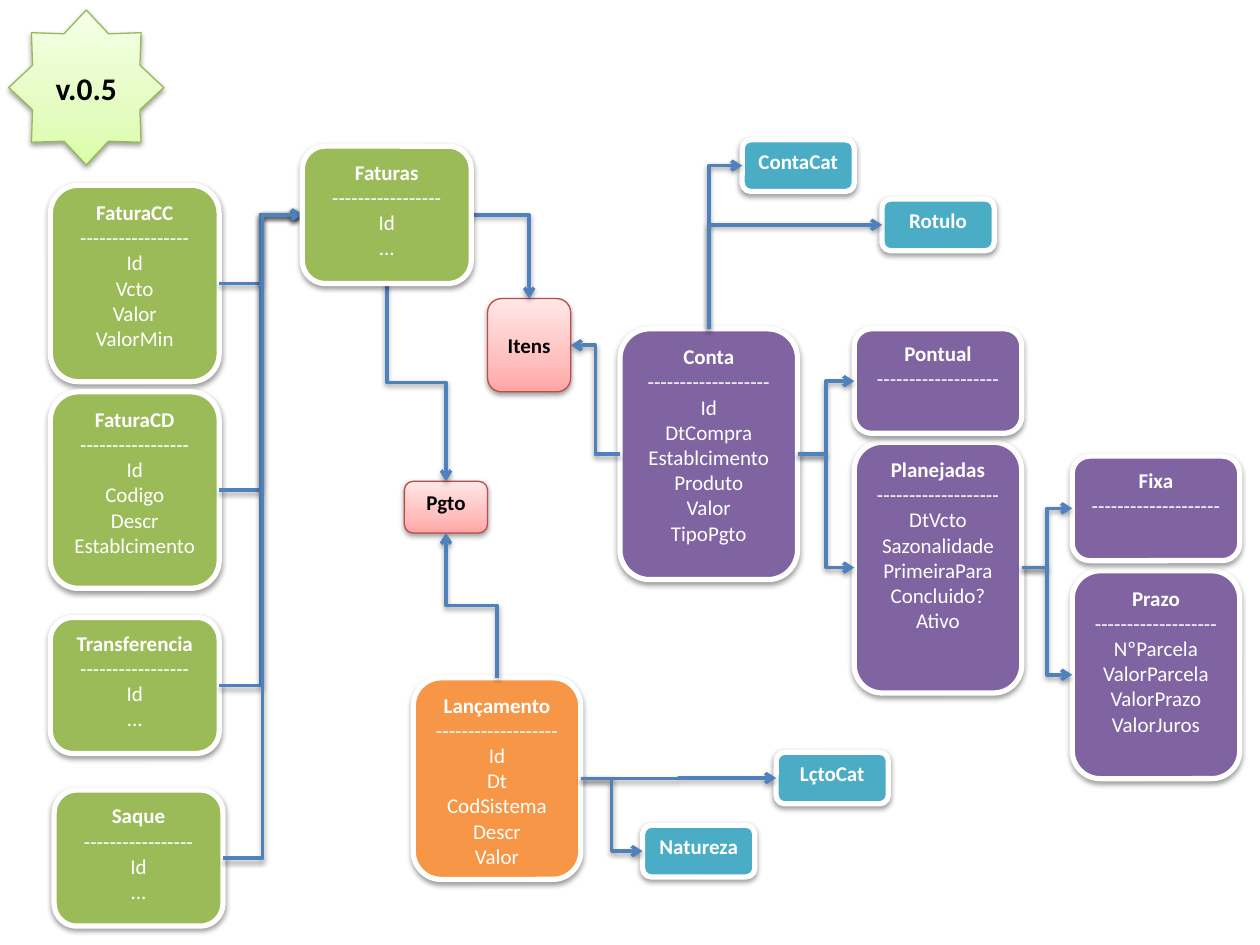
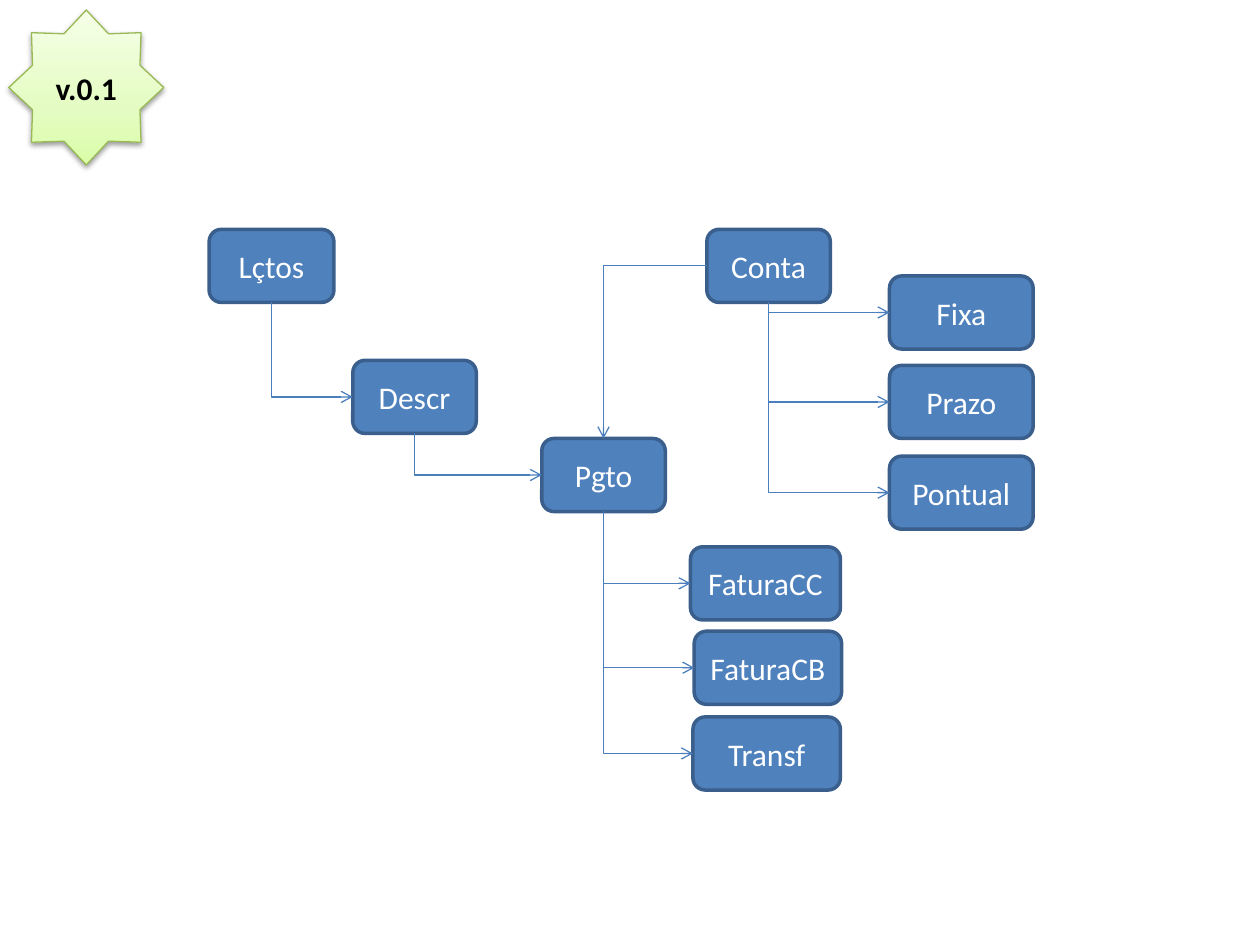
from dataclasses import dataclass

from lxml.etree import SubElement
from pptx import Presentation
from pptx.dml.color import RGBColor
from pptx.enum.shapes import MSO_CONNECTOR, MSO_SHAPE
from pptx.enum.text import MSO_ANCHOR, PP_ALIGN
from pptx.oxml.ns import qn
from pptx.util import Inches, Pt

FONT = "Calibri"
COLORS = {
    "white": "FFFFFF", "black": "000000",
    "purple": "8064A2", "green": "9BBB59", "teal": "4BACC6", "orange": "F79646",
    "blue": "4F81BD", "blue_edge": "3A5F8C", "thin_blue": "4B7EBC",
    "red_edge": "BF4C48", "green_edge": "98B955",
}
GRADIENTS = {
    "pink": [(0, "FFA6A5"), (35, "FFC0BF"), (100, "FFE7E7")],
    "lime": [(0, "DAFDA7"), (35, "E4FCC2"), (100, "F5FFE7")],
}
TOP, LEFT, BOTTOM, RIGHT = range(4)  # connection sites of a rectangle


@dataclass
class Style:
    fill: str
    edge: str = "white"
    edge_pt: float = 3
    text: str = "white"
    size: int = 12
    bold: bool = True
    shadow: bool = True
    anchor: MSO_ANCHOR = MSO_ANCHOR.TOP


@dataclass
class Box:
    name: str
    x: float
    y: float
    w: float
    h: float
    style: Style
    dashes: int = 0
    fields: tuple = ()


@dataclass
class Link:
    start: str
    start_side: int
    end: str
    end_side: int


MIDDLE = MSO_ANCHOR.MIDDLE
PURPLE, GREEN, TEAL, ORANGE = (Style(c) for c in ("purple", "green", "teal", "orange"))
PINK = Style("pink", "red_edge", 0.75, "black")
PINK_MIDDLE = Style("pink", "red_edge", 0.75, "black", anchor=MIDDLE)
STAR = Style("lime", "green_edge", 0.75, "black", 18, anchor=MIDDLE)
BLUE = Style("blue", "blue_edge", 2, size=18, bold=False, shadow=False, anchor=MIDDLE)


def rgb(name: str) -> RGBColor:
    return RGBColor.from_string(COLORS[name])


def add_shadow(effects) -> None:
    shadow = SubElement(effects, qn("a:outerShdw"), blurRad="40000", dist="20000",
                        dir="5400000", rotWithShape="0")
    color = SubElement(shadow, qn("a:srgbClr"), val=COLORS["black"])
    SubElement(color, qn("a:alpha"), val="38000")


def fill_gradient(sp, stops: list) -> None:
    sp.fill.gradient()
    sp.fill.gradient_angle = 90
    stop_list = next(sp._element.spPr.iter(qn("a:gsLst")))
    for stop in list(stop_list):
        stop_list.remove(stop)
    for pos, color in stops:
        stop = SubElement(stop_list, qn("a:gs"), pos=str(pos * 1000))
        SubElement(stop, qn("a:srgbClr"), val=color)


def add_box(s, box: Box, kind=MSO_SHAPE.ROUNDED_RECTANGLE):
    style = box.style
    sp = s.shapes.add_shape(kind, *map(Inches, (box.x, box.y, box.w, box.h)))
    if style.fill in GRADIENTS:
        fill_gradient(sp, GRADIENTS[style.fill])
    else:
        sp.fill.solid()
        sp.fill.fore_color.rgb = rgb(style.fill)
    sp.line.color.rgb = rgb(style.edge)
    sp.line.width = Pt(style.edge_pt)
    sp.shadow.inherit = False
    if style.shadow:
        add_shadow(sp._element.spPr.find(qn("a:effectLst")))

    # Heading, dashed rule and field names
    tf = sp.text_frame
    rule = ["-" * box.dashes] if box.dashes else []
    tf.text = "\n".join([box.name, *rule, *box.fields])
    tf.vertical_anchor = style.anchor
    for i, p in enumerate(tf.paragraphs):
        p.alignment = PP_ALIGN.CENTER
        for r in p.runs:
            r.font.name = FONT
            r.font.size = Pt(style.size)
            r.font.bold = style.bold and i == 0
            r.font.color.rgb = rgb(style.text)
    return sp


def bend(c, link: Link) -> None:
    """Route an elbow so that it leaves and enters on the linked sides."""
    x1, y1, x2, y2 = c.begin_x, c.begin_y, c.end_x, c.end_y
    w, h = abs(x2 - x1), abs(y2 - y1)
    right, down = x2 >= x1, y2 >= y1
    upright = link.start_side in (TOP, BOTTOM)
    if not upright:
        turn, flip_h, flip_v = (0, False, not down) if right else (180, False, down)
    elif right and not down:
        turn, flip_h, flip_v = 90, True, True
    else:
        turn, flip_h, flip_v = 270, down, not right
    if upright:
        w, h = h, w
    c.left, c.top = (x1 + x2 - w) // 2, (y1 + y2 - h) // 2
    c.width, c.height = w, h
    xfrm = c._element.spPr.find(qn("a:xfrm"))
    xfrm.set("rot", str(turn * 60000))
    xfrm.set("flipH", str(int(flip_h)))
    xfrm.set("flipV", str(int(flip_v)))
    if link.start_side % 2 != link.end_side % 2:
        c._element.spPr.find(qn("a:prstGeom")).set("prst", "bentConnector2")


def add_link(s, link: Link, shapes: dict, color: str, width: float, shadow: bool) -> None:
    c = s.shapes.add_connector(MSO_CONNECTOR.ELBOW, 0, 0, 0, 0)
    c.begin_connect(shapes[link.start], link.start_side)
    c.end_connect(shapes[link.end], link.end_side)
    bend(c, link)
    c.line.color.rgb = rgb(color)
    c.line.width = Pt(width)
    SubElement(c.line._get_or_add_ln(), qn("a:tailEnd"), type="arrow")
    effects = SubElement(c._element.spPr, qn("a:effectLst"))
    if shadow:
        add_shadow(effects)


def add_diagram(prs, version: str, boxes: list, links: list, color: str,
                width: float, shadow: bool, front: tuple = ()) -> None:
    s = prs.slides.add_slide(prs.slide_layouts[6])
    shapes = {box.name: add_box(s, box) for box in boxes}
    for link in links:
        add_link(s, link, shapes, color, width, shadow)
    for name in front:  # boxes that cover their arrow tips
        s.shapes._spTree.append(shapes[name]._element)
    add_box(s, Box(version, 0.07, 0.08, 1.23, 1.23, STAR), MSO_SHAPE.STAR_8_POINT)


prs = Presentation()
prs.slide_width, prs.slide_height = Inches(10), Inches(7.5)

# Slide 1: entities with their fields
entities = [
    Box("Conta", 4.92, 2.61, 1.41, 1.99, PURPLE, 19,
        ("Id", "DtCompra", "Establcimento", "Produto", "Valor", "TipoPgto")),
    Box("Planejadas", 6.78, 3.51, 1.33, 1.99, PURPLE, 19,
        ("DtVcto", "Sazonalidade", "PrimeiraPara", "Concluido?", "Ativo")),
    Box("Prazo", 8.51, 4.53, 1.33, 1.65, PURPLE, 19,
        ("NºParcela", "ValorParcela", "ValorPrazo", "ValorJuros")),
    Box("Fixa", 8.51, 3.62, 1.33, 0.83, PURPLE, 20),
    Box("Pontual", 6.78, 2.61, 1.33, 0.83, PURPLE, 19),
    Box("FaturaCC", 0.4, 1.47, 1.34, 1.56, GREEN, 17, ("Id", "Vcto", "Valor", "ValorMin")),
    Box("FaturaCD", 0.4, 3.11, 1.34, 1.56, GREEN, 17,
        ("Id", "Codigo", "Descr", "Establcimento")),
    Box("Transferencia", 0.4, 4.9, 1.34, 1.08, GREEN, 17, ("Id", "...")),
    Box("Saque", 0.43, 6.27, 1.34, 1.08, GREEN, 17, ("Id", "...")),
    Box("Faturas", 2.4, 1.16, 1.34, 1.09, GREEN, 17, ("Id", "...")),
    Box("Lançamento", 3.28, 5.38, 1.33, 1.6, ORANGE, 19,
        ("Id", "Dt", "CodSistema", "Descr", "Valor")),
    Box("Itens", 3.87, 2.37, 0.66, 0.74, PINK_MIDDLE),
    Box("Pgto", 3.21, 3.82, 0.66, 0.41, PINK),
]
categories = [("ContaCat", 5.89, 1.11), ("Rotulo", 7, 1.58),
              ("LçtoCat", 6.16, 5.97), ("Natureza", 5.1, 6.55)]
entities += [Box(name, x, y, 0.89, 0.41, TEAL) for name, x, y in categories]

entity_links = [Link(name, RIGHT, "Faturas", LEFT)
                for name in ("FaturaCC", "FaturaCD", "Transferencia", "Saque")]
entity_links += [Link(start, RIGHT, end, LEFT) for start, end in (
    ("Conta", "Pontual"), ("Conta", "Planejadas"),
    ("Planejadas", "Fixa"), ("Planejadas", "Prazo"),
    ("Lançamento", "LçtoCat"), ("Lançamento", "Natureza"))]
entity_links += [
    Link("Conta", LEFT, "Itens", RIGHT),
    Link("Conta", TOP, "ContaCat", LEFT),
    Link("Conta", TOP, "Rotulo", LEFT),
    Link("Lançamento", TOP, "Pgto", BOTTOM),
    Link("Faturas", BOTTOM, "Pgto", TOP),
    Link("Faturas", RIGHT, "Itens", TOP),
]
add_diagram(prs, "v.0.5", entities, entity_links, "blue", 2, True, ("Faturas",))

# Slide 2: first outline of the model
outline = [Box(name, x, y, w, 0.58, BLUE) for name, x, y, w in (
    ("Lçtos", 1.66, 1.82, 0.99), ("Descr", 2.8, 2.86, 0.98),
    ("Pgto", 4.3, 3.48, 0.98), ("Conta", 5.61, 1.82, 0.98),
    ("Fixa", 7.06, 2.19, 1.14), ("Prazo", 7.06, 2.9, 1.14),
    ("Pontual", 7.06, 3.62, 1.14), ("FaturaCC", 5.48, 4.34, 1.19),
    ("FaturaCB", 5.51, 5.01, 1.17), ("Transf", 5.5, 5.69, 1.17))]
outline_links = [Link(start, BOTTOM, end, LEFT) for start, end in (
    ("Lçtos", "Descr"), ("Descr", "Pgto"),
    ("Conta", "Fixa"), ("Conta", "Prazo"), ("Conta", "Pontual"),
    ("Pgto", "FaturaCC"), ("Pgto", "FaturaCB"), ("Pgto", "Transf"))]
outline_links.append(Link("Conta", LEFT, "Pgto", TOP))
add_diagram(prs, "v.0.1", outline, outline_links, "thin_blue", 0.75, False)

prs.save("out.pptx")
